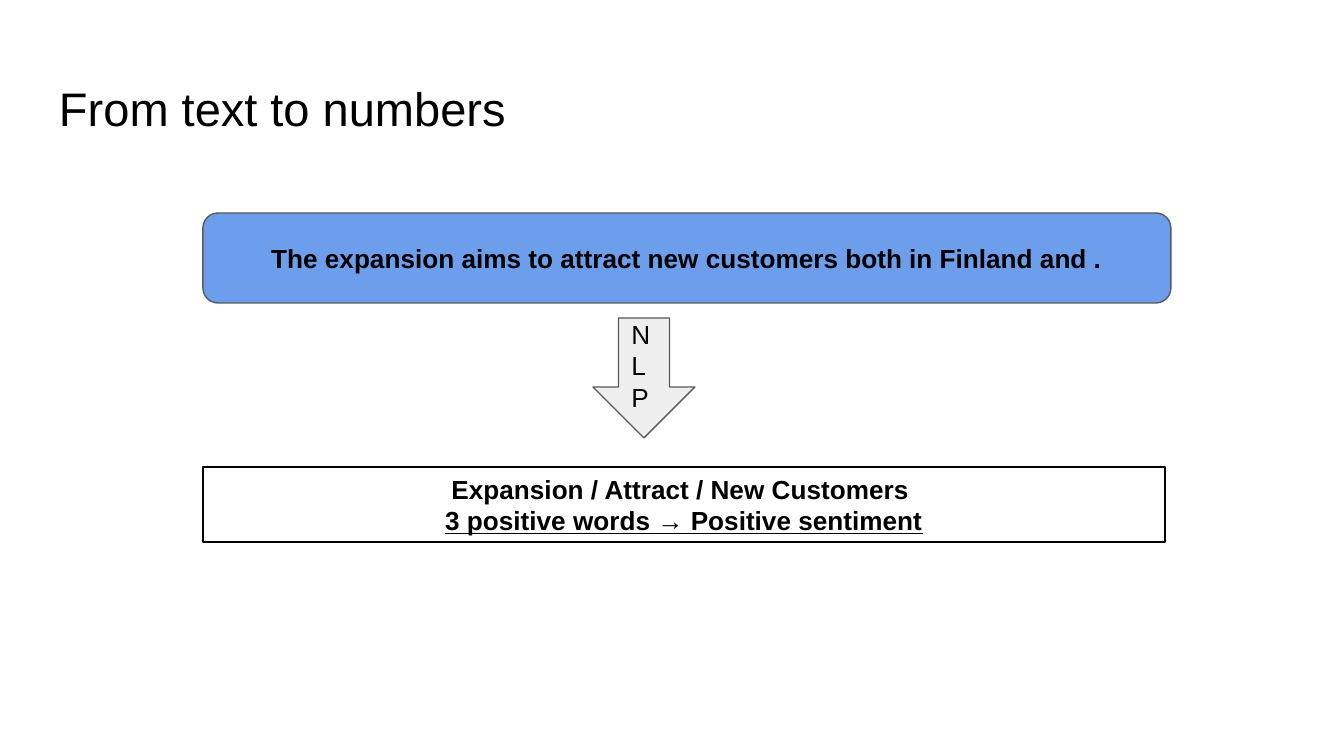
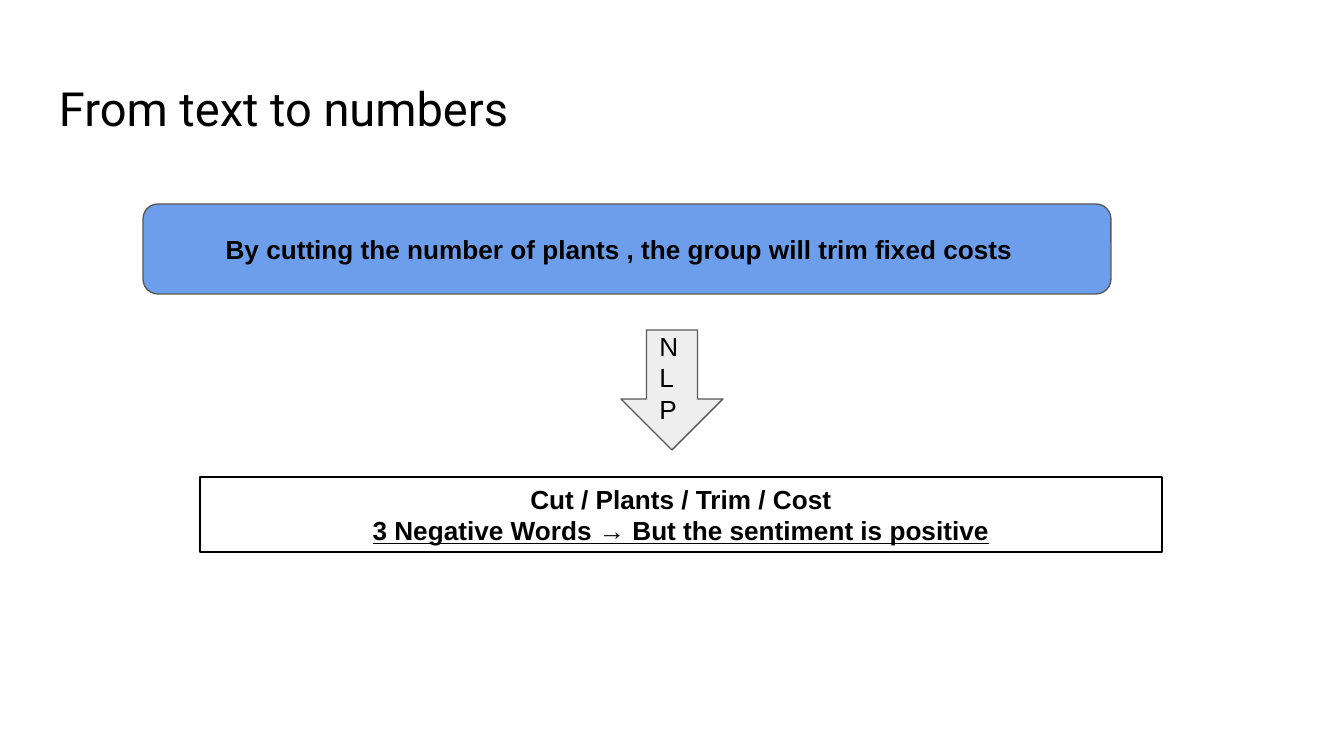
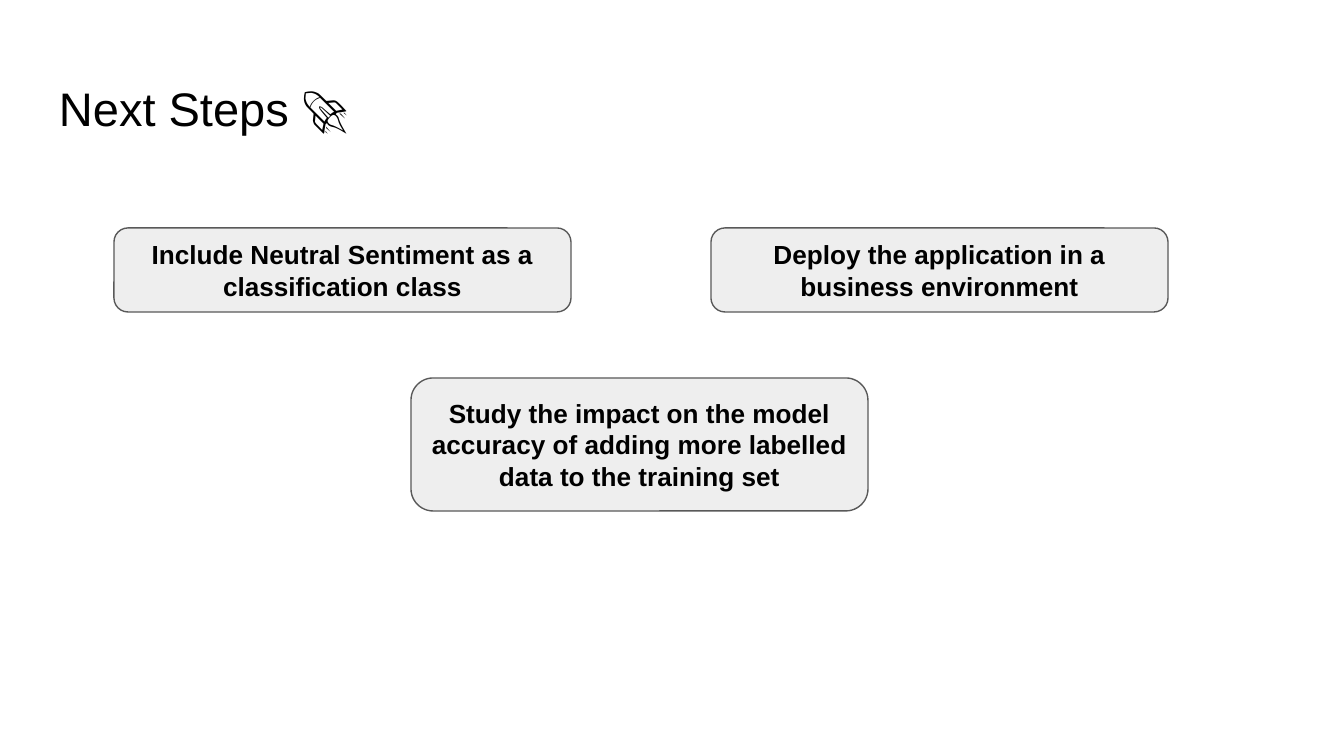
from pptx import Presentation
from pptx import util as u
from pptx.dml.color import RGBColor
from pptx.enum import shapes, text

BLACK = RGBColor(0x00, 0x00, 0x00)
WHITE = RGBColor(0xFF, 0xFF, 0xFF)
BLUE = RGBColor(0x6D, 0x9E, 0xEB)
PALE = RGBColor(0xEE, 0xEE, 0xEE)
GREY = RGBColor(0x59, 0x59, 0x59)

SCALE = u.Inches(1) / 134.4
INSET = 13
FONT = "Arial"
KIND = shapes.MSO_SHAPE
LEFT, CENTER = text.PP_ALIGN.LEFT, text.PP_ALIGN.CENTER


def px(n):
    return u.Emu(round(n * SCALE))


def frame(shape, anchor, pad=0):
    """Set wrapping, anchor and insets; pad widens the right inset."""
    tf = shape.text_frame
    tf.word_wrap = True
    tf.auto_size = text.MSO_AUTO_SIZE.NONE
    tf.vertical_anchor = anchor
    tf.margin_left = tf.margin_top = tf.margin_bottom = px(INSET)
    tf.margin_right = px(INSET + pad)
    return tf


def write(para, words, size, align, font=FONT, bold=False, under=False):
    para.alignment = align
    run = para.add_run()
    run.text = words
    run.font.name = font
    run.font.size = u.Pt(size)
    run.font.bold = bold
    run.font.underline = under
    run.font.color.rgb = BLACK


def add_page(deck, title, font=FONT):
    page = deck.slides.add_slide(deck.slide_layouts[5])
    head = page.shapes.title
    head.left, head.top, head.width, head.height = map(px, (46, 66, 1253, 85))
    tf = frame(head, text.MSO_ANCHOR.TOP)
    write(tf.paragraphs[0], title, 25.2, LEFT, font)
    return page


def add_block(page, kind, box, fill, line=GREY, weight=0.75, pad=0):
    """Draw a filled outline and return its text frame."""
    shape = page.shapes.add_shape(kind, *map(px, box))
    shape.shadow.inherit = False
    shape.fill.solid()
    shape.fill.fore_color.rgb = fill
    shape.line.color.rgb = line
    shape.line.width = u.Pt(weight)
    return frame(shape, text.MSO_ANCHOR.MIDDLE, pad)


def add_quote(page, x, y, words, pad=0):
    tf = add_block(page, KIND.FLOWCHART_ALTERNATE_PROCESS,
                   (x, y, 968, 90), BLUE, pad=pad)
    write(tf.paragraphs[0], words, 14, CENTER, bold=True)


def add_arrow(page, x, y):
    tf = add_block(page, KIND.DOWN_ARROW, (x, y, 102, 120), PALE)
    write(tf.paragraphs[0], "NLP", 14, LEFT)


def add_result(page, x, y, words, verdict):
    tf = add_block(page, KIND.RECTANGLE, (x, y, 962, 75), WHITE, BLACK, 1.5)
    write(tf.paragraphs[0], words, 14, CENTER, bold=True)
    write(tf.add_paragraph(), verdict, 14, CENTER, bold=True, under=True)


def add_step(page, x, y, high, words):
    tf = add_block(page, KIND.ROUNDED_RECTANGLE, (x, y, 457, high), PALE)
    write(tf.paragraphs[0], words, 14, CENTER, bold=True)


def main():
    deck = Presentation()
    deck.slide_width, deck.slide_height = px(1344), px(756)

    page = add_page(deck, "From text to numbers")
    add_quote(page, 203, 213,
              "The expansion aims to attract new customers both in Finland and .")
    add_result(page, 203, 467, "Expansion / Attract / New Customers ",
               "3 positive words → Positive sentiment")
    add_arrow(page, 593, 318)

    page = add_page(deck, "From text to numbers", "Roboto")
    add_arrow(page, 621, 330)
    add_quote(page, 143, 204,
              "By cutting the number of plants , the group will trim fixed costs",
              pad=15)
    add_result(page, 200, 477, "Cut / Plants / Trim / Cost",
               "3 Negative Words → But the sentiment is positive")

    page = add_page(deck, "Next Steps 🚀")
    steps = [
        (114, 228, 84, "Include Neutral Sentiment as a classification class"),
        (711, 228, 84, "Deploy the application in a business environment"),
        (411, 378, 133, "Study the impact on the model accuracy of adding "
                        "more labelled data to the training set"),
    ]
    for step in steps:
        add_step(page, *step)

    deck.save("out.pptx")


if __name__ == "__main__":
    main()
